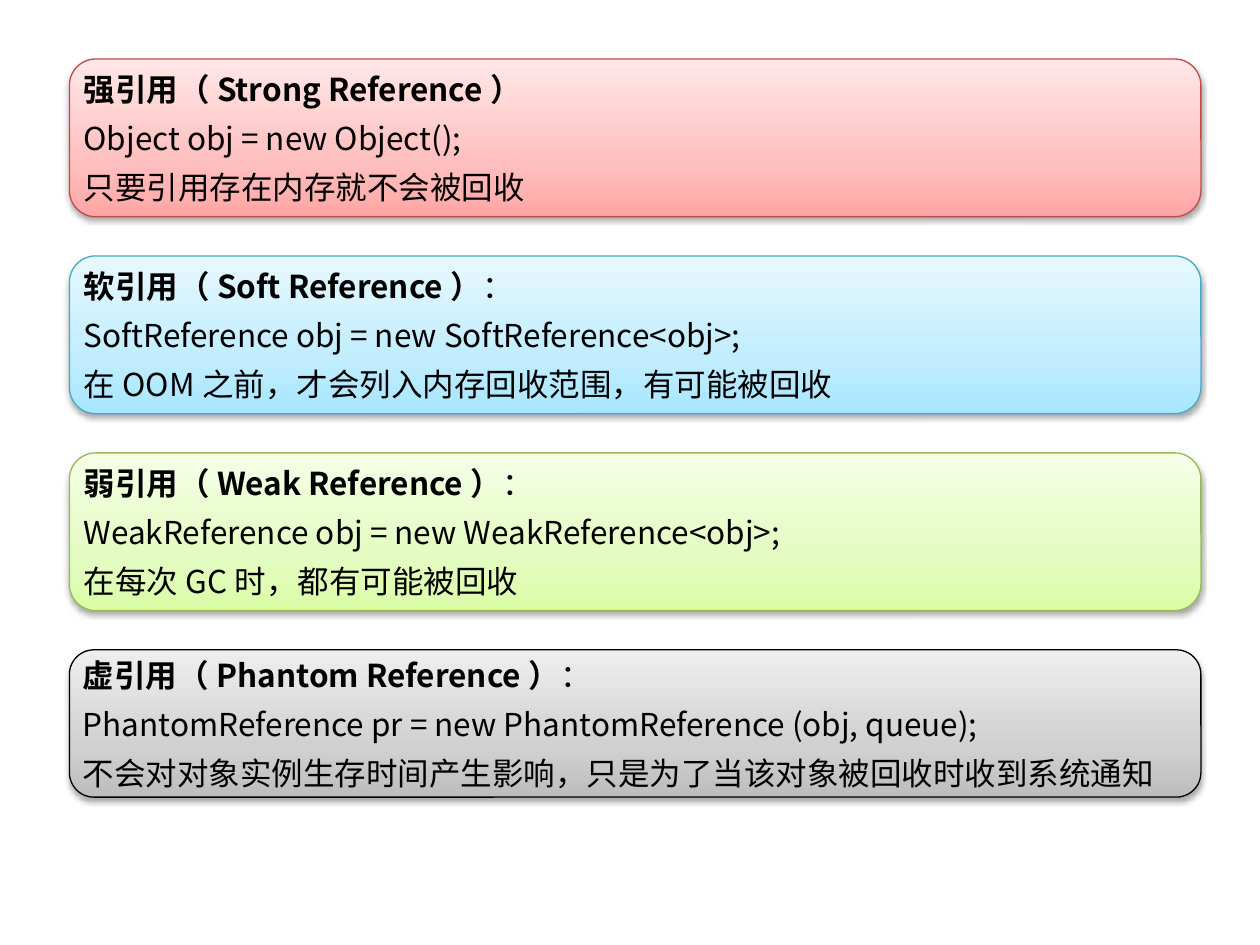
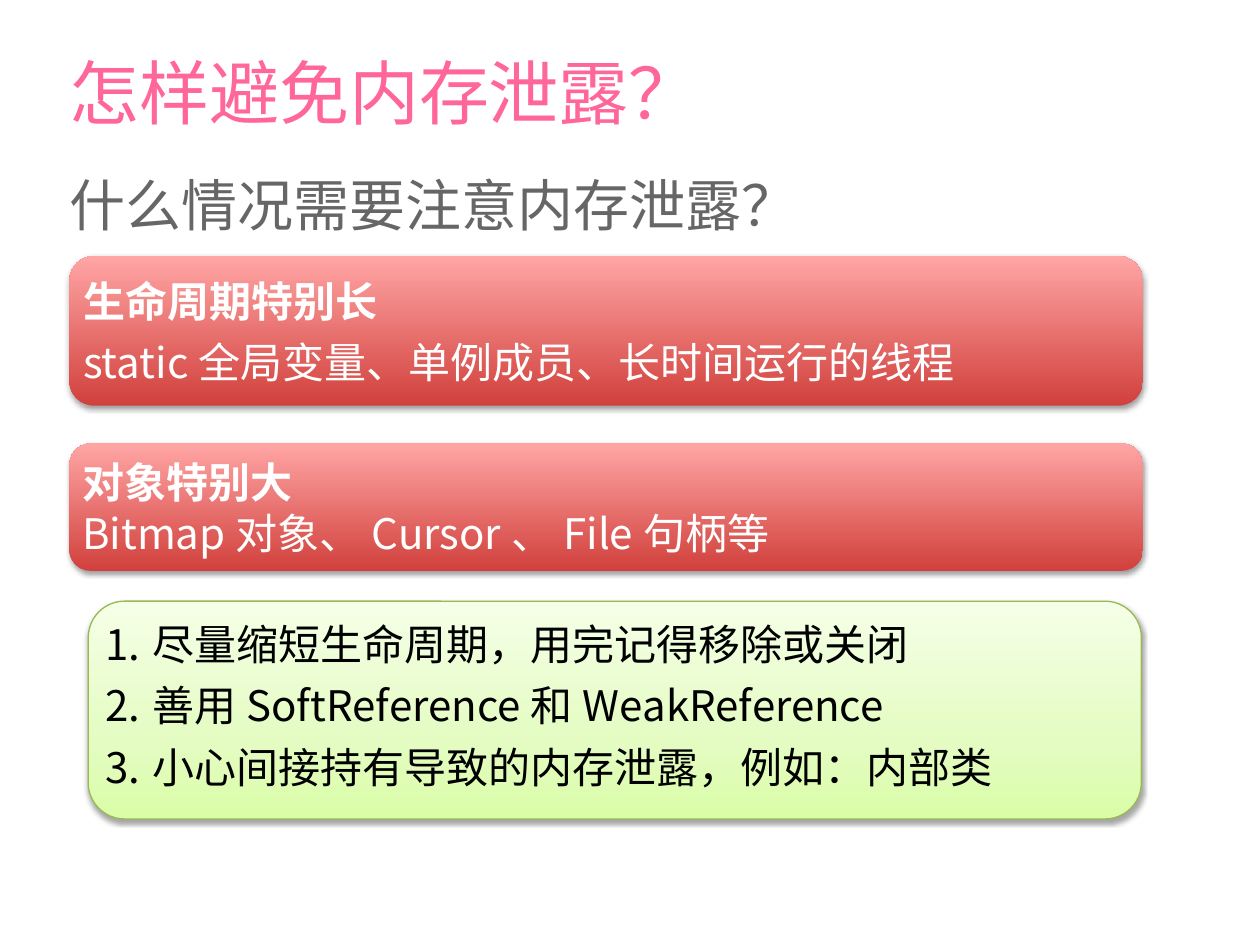
"""Build two slides on reference strength and avoiding memory leaks."""
from dataclasses import dataclass
from typing import Optional

import lxml.etree
import pptx
import pptx.dml.color
import pptx.enum.shapes
import pptx.enum.text
import pptx.oxml.ns
import pptx.util

FONT = "Noto Sans CJK SC"
COLORS = {
    "title": "FF6699",
    "question": "666666",
    "ink": "000000",
    "white": "FFFFFF",
}
Cm = pptx.util.Cm
Pt = pptx.util.Pt
qn = pptx.oxml.ns.qn


@dataclass(frozen=True)
class Theme:
    """Look of a card: gradient from bottom to top, outline, text, shadow."""
    gradient: tuple[tuple[int, str], ...]
    outline: Optional[str]
    ink: str
    shadow_alpha: int = 35
    shadow_distance: float = 1.8


@dataclass(frozen=True)
class Line:
    """One paragraph; the tail follows in regular weight."""
    text: str
    bold: bool = False
    tail: str = ""


@dataclass(frozen=True)
class Card:
    """A rounded panel, with lengths in centimetres."""
    theme: Theme
    left: float
    top: float
    width: float
    height: float
    lines: tuple[Line, ...]
    size: int
    gap: int = 6
    numbered: bool = False


def soft_theme(bottom: str, middle: str, top: str, outline: str) -> Theme:
    """Return a pale three-stop theme with dark text."""
    return Theme(((0, bottom), (35, middle), (100, top)), outline, COLORS["ink"])


PINK = soft_theme("FFA6A5", "FFC0BF", "FFE7E7", "BF4C48")
BLUE = soft_theme("A7E6FF", "C1EDFF", "E7F8FF", "46AAC5")
GREEN = soft_theme("DAFDA7", "E4FCC2", "F5FFE7", "98B955")
GRAY = soft_theme("BDBDBD", "D1D1D1", "EEEEEE", "000000")
RED = Theme(((0, "D1403C"), (100, "FFA6A5")), None, COLORS["white"], 38, 1.6)

LEFT = 1.4
REFERENCE_TOP, REFERENCE_PITCH = 1.19, 3.97
REFERENCES = (
    (PINK, 3.18, (
        Line("强引用（Strong Reference）", True),
        Line("Object obj = new Object();"),
        Line("只要引用存在内存就不会被回收"))),
    (BLUE, 3.18, (
        Line("软引用（Soft Reference）", True, "："),
        Line("SoftReference obj = new SoftReference<obj>;"),
        Line("在OOM之前，才会列入内存回收范围，有可能被回收"))),
    (GREEN, 3.18, (
        Line("弱引用（Weak Reference）", True, "："),
        Line("WeakReference obj = new WeakReference<obj>;"),
        Line("在每次GC时，都有可能被回收"))),
    (GRAY, 2.97, (
        Line("虚引用（Phantom Reference）", True, "："),
        Line("PhantomReference pr = new PhantomReference (obj, queue);"),
        Line("不会对对象实例生存时间产生影响，只是为了当该对象被回收时收到系统通知"))),
)
LEAK_CARDS = (
    Card(RED, LEFT, 5.16, 21.64, 3.02, (
        Line("生命周期特别长", True),
        Line("static全局变量、单例成员、长时间运行的线程")), 24),
    Card(RED, LEFT, 8.94, 21.64, 2.57, (
        Line("对象特别大", True),
        Line("Bitmap对象、Cursor、File句柄等")), 24, gap=0),
    Card(GREEN, 1.78, 12.12, 21.23, 4.39, (
        Line("尽量缩短生命周期，用完记得移除或关闭"),
        Line("善用SoftReference和WeakReference"),
        Line("小心间接持有导致的内存泄露，例如：内部类")), 24, numbered=True),
)


def rgb(value: str) -> pptx.dml.color.RGBColor:
    """Turn a hex string into a colour."""
    return pptx.dml.color.RGBColor.from_string(value)


def add_color(parent, value: str):
    """Append a solid colour element."""
    return lxml.etree.SubElement(parent, qn("a:srgbClr"), val=value)


def style_paragraph(paragraph, size: int, color: str, bold: bool = False) -> None:
    """Set the font of a whole paragraph, for Latin and Chinese text."""
    font = paragraph.font
    font.name = FONT
    font.size = Pt(size)
    font.bold = bold
    font.color.rgb = rgb(color)
    latin = paragraph._p.pPr.find(qn("a:defRPr")).find(qn("a:latin"))
    east_asian = lxml.etree.Element(qn("a:ea"), typeface=FONT)
    latin.addnext(east_asian)


def prepare_frame(frame, anchor) -> None:
    """Apply the shared margins, wrapping and anchor."""
    frame.word_wrap = True
    frame.vertical_anchor = anchor
    frame.margin_left = frame.margin_right = Cm(0.13)
    frame.margin_top = frame.margin_bottom = Cm(0.13)


def apply_theme(panel, theme: Theme) -> None:
    """Paint gradient, outline and shadow."""
    panel.fill.gradient()
    panel.fill.gradient_angle = 90
    properties = panel._element.spPr
    stops = properties.find(qn("a:gradFill")).find(qn("a:gsLst"))
    for stop in list(stops):
        stops.remove(stop)
    for position, value in theme.gradient:
        stop = lxml.etree.SubElement(stops, qn("a:gs"), pos=str(position * 1000))
        add_color(stop, value)
    if theme.outline:
        panel.line.color.rgb = rgb(theme.outline)
        panel.line.width = Pt(0.75)
    else:
        panel.line.fill.background()
    panel.shadow.inherit = False
    shadow = lxml.etree.SubElement(
        properties.find(qn("a:effectLst")), qn("a:outerShdw"),
        blurRad=str(Pt(3)), dist=str(Pt(theme.shadow_distance)),
        dir="5400000", rotWithShape="0")
    shade = add_color(shadow, COLORS["ink"])
    lxml.etree.SubElement(shade, qn("a:alpha"), val=str(theme.shadow_alpha * 1000))


def draw_card(slide, card: Card) -> None:
    """Draw one panel with its lines."""
    panel = slide.shapes.add_shape(
        pptx.enum.shapes.MSO_SHAPE.ROUNDED_RECTANGLE,
        Cm(card.left), Cm(card.top), Cm(card.width), Cm(card.height))
    apply_theme(panel, card.theme)
    frame = panel.text_frame
    anchors = pptx.enum.text.MSO_ANCHOR
    prepare_frame(frame, anchors.TOP if card.numbered else anchors.MIDDLE)
    for index, line in enumerate(card.lines):
        paragraph = frame.add_paragraph() if index else frame.paragraphs[0]
        paragraph.alignment = pptx.enum.text.PP_ALIGN.LEFT
        paragraph.line_spacing = Pt(round(card.size * 1.21))
        if index:
            paragraph.space_before = Pt(card.gap)
        if card.numbered:
            settings = paragraph._p.get_or_add_pPr()
            settings.set("marL", str(Cm(0.95)))
            settings.set("indent", str(-Cm(0.95)))
            lxml.etree.SubElement(settings, qn("a:buAutoNum"), type="arabicPeriod")
        paragraph.add_run().text = line.text
        if line.tail:
            paragraph.runs[0].font.bold = line.bold
            tail = paragraph.add_run()
            tail.text = line.tail
            tail.font.bold = False
        style_paragraph(paragraph, card.size, card.theme.ink,
                        line.bold and not line.tail)


def draw_heading(slide, text: str, top: float, height: float, size: int,
                 color: str, anchor, spacing: Optional[float] = None) -> None:
    """Draw a heading across the slide."""
    heading = slide.shapes.add_textbox(Cm(1.27), Cm(top), Cm(22.86), Cm(height))
    prepare_frame(heading.text_frame, anchor)
    paragraph = heading.text_frame.paragraphs[0]
    paragraph.text = text
    if spacing:
        paragraph.line_spacing = Pt(spacing)
    style_paragraph(paragraph, size, color)


def main() -> None:
    """Build and save the presentation."""
    deck = pptx.Presentation()
    deck.slide_width, deck.slide_height = Cm(25.4), Cm(19.05)
    blank = deck.slide_layouts[6]
    anchors = pptx.enum.text.MSO_ANCHOR

    references = deck.slides.add_slide(blank)
    for row, (theme, height, lines) in enumerate(REFERENCES):
        top = REFERENCE_TOP + row * REFERENCE_PITCH
        draw_card(references, Card(theme, LEFT, top, 22.81, height, lines, 18))

    leaks = deck.slides.add_slide(blank)
    draw_heading(leaks, "怎样避免内存泄露？", 0, 3.68, 40,
                 COLORS["title"], anchors.MIDDLE)
    draw_heading(leaks, "什么情况需要注意内存泄露？", 3.18, 15.32, 32,
                 COLORS["question"], anchors.TOP, 42)
    for card in LEAK_CARDS:
        draw_card(leaks, card)

    deck.save("out.pptx")


if __name__ == "__main__":
    main()
